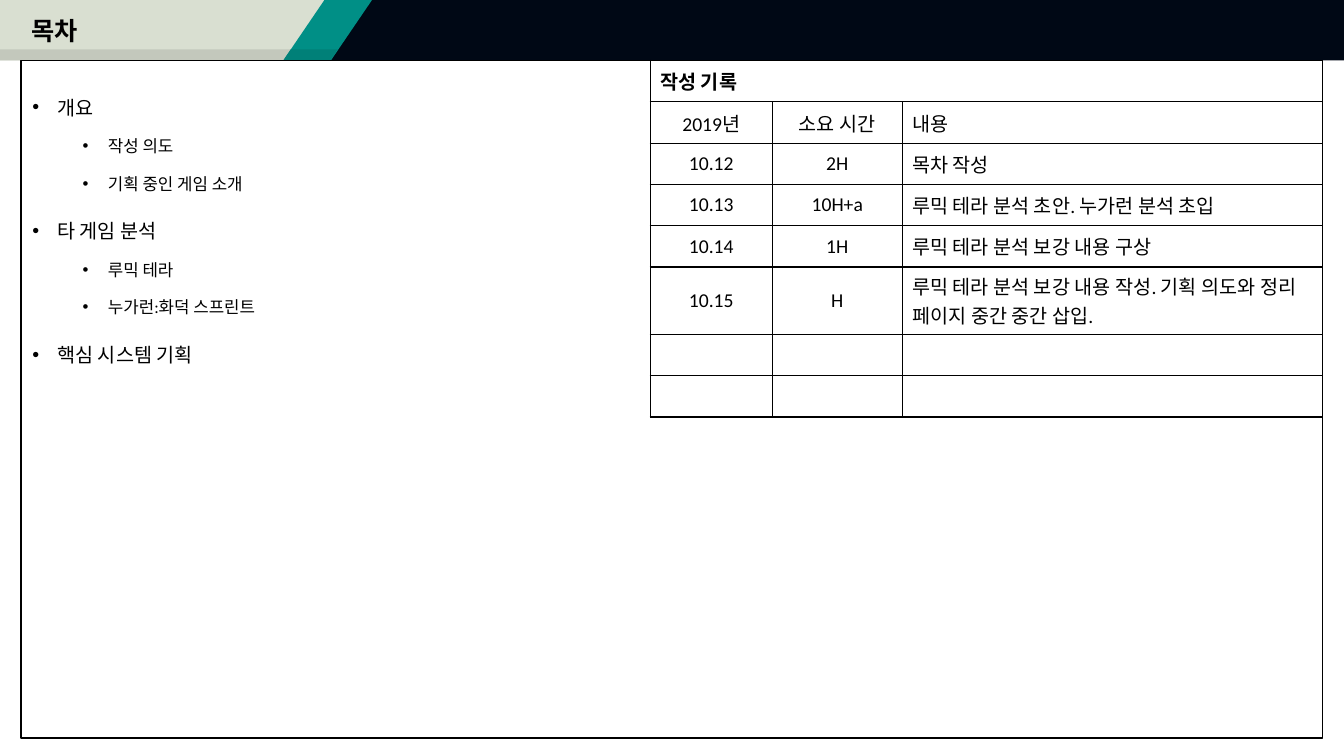
from dataclasses import dataclass

from lxml import etree
from pptx import Presentation
from pptx.dml.color import RGBColor
from pptx.enum.shapes import MSO_SHAPE as Preset
from pptx.enum.text import MSO_ANCHOR as Anchor, MSO_AUTO_SIZE as AutoSize, PP_ALIGN as Align
from pptx.oxml.ns import qn
from pptx.util import Inches, Pt


@dataclass(frozen=True)
class Theme:
    font: str = "Calibri"
    black: str = "000000"
    white: str = "FFFFFF"
    sage: str = "D9DFD1"
    sage_dark: str = "C3C8BC"
    navy: str = "000815"
    teal: str = "008F86"
    teal_dark: str = "008078"
    title_size: int = 18
    text_size: int = 14
    sub_size: int = 12


theme = Theme()


def add_run(paragraph, text, size, bold=False):
    run = paragraph.add_run()
    run.text = text
    run.font.name = theme.font
    run.font.size = Pt(size)
    run.font.bold = bold
    run.font.color.rgb = RGBColor.from_string(theme.black)


def add_border(cell, side):
    line = etree.SubElement(cell._tc.get_or_add_tcPr(), qn(f"a:{side}"), w=str(Pt(1)))
    fill = etree.SubElement(line, qn("a:solidFill"))
    etree.SubElement(fill, qn("a:srgbClr"), val=theme.black)


prs = Presentation()
prs.slide_width, prs.slide_height = Inches(13.33), Inches(7.5)
slide = prs.slides.add_slide(prs.slide_layouts[1])

# Header band and page frame
backdrop = [
    (Preset.RECTANGLE, 0, 0, 3.23, 0.6, theme.sage),
    (Preset.RECTANGLE, 0, 0.49, 3.23, 0.11, theme.sage_dark),
    (Preset.RECTANGLE, 3.23, 0, 10.1, 0.6, theme.navy),
    (Preset.PARALLELOGRAM, 2.81, 0, 0.88, 0.6, theme.teal),
    (Preset.PARALLELOGRAM, 2.81, 0.49, 0.54, 0.11, theme.teal_dark),
    (Preset.RECTANGLE, 0.21, 0.6, 12.91, 6.72, theme.white),
]
for preset, left, top, width, height, color in backdrop:
    panel = slide.shapes.add_shape(preset, Inches(left), Inches(top), Inches(width), Inches(height))
    panel.shadow.inherit = False
    panel.fill.solid()
    panel.fill.fore_color.rgb = RGBColor.from_string(color)
    if preset == Preset.PARALLELOGRAM:
        panel.adjustments[0] = 0.68
    if color == theme.white:
        panel.line.color.rgb = RGBColor.from_string(theme.black)
        panel.line.width = Pt(1)
    else:
        panel.line.fill.background()

# Title and contents placeholders, brought in front of the backdrop
title, contents = slide.shapes.title, slide.placeholders[1]
for holder, box, anchor in [
    (contents, (0.22, 0.78, 12.9, 6.51), Anchor.TOP),
    (title, (0.21, 0, 3.04, 0.6), Anchor.MIDDLE),
]:
    holder.left, holder.top, holder.width, holder.height = map(Inches, box)
    holder.text_frame.auto_size = AutoSize.NONE
    holder.text_frame.word_wrap = True
    holder.text_frame.vertical_anchor = anchor
    holder.element.getparent().append(holder.element)

heading = title.text_frame.paragraphs[0]
heading.alignment = Align.LEFT
add_run(heading, "목차", theme.title_size, bold=True)

# Contents list
topics = [
    (0, "개요"),
    (1, "작성 의도"),
    (1, "기획 중인 게임 소개"),
    (0, "타 게임 분석"),
    (1, "루믹 테라"),
    (1, "누가런:화덕 스프린트"),
    (0, "핵심 시스템 기획"),
]
for index, (level, topic) in enumerate(topics):
    frame = contents.text_frame
    entry = frame.add_paragraph() if index else frame.paragraphs[0]
    entry.level = level
    entry.line_spacing = 1.5
    entry.space_before = Pt((10, 5)[level] if index else 0)
    props = entry._p.get_or_add_pPr()
    props.set("marL", str(Inches((0.25, 0.75)[level])))
    props.set("indent", str(Inches(-0.25)))
    etree.SubElement(props, qn("a:buFont"), typeface="Arial")
    etree.SubElement(props, qn("a:buChar"), char="•")
    add_run(entry, topic, (theme.text_size, theme.sub_size)[level])

# Writing log table
log_rows = [
    ("작성 기록", "", ""),
    ("2019년", "소요 시간", "내용"),
    ("10.12", "2H", "목차 작성"),
    ("10.13", "10H+a", "루믹 테라 분석 초안. 누가런 분석 초입"),
    ("10.14", "1H", "루믹 테라 분석 보강 내용 구상"),
    ("10.15", "H", "루믹 테라 분석 보강 내용 작성. 기획 의도와 정리 페이지 중간 중간 삽입."),
    ("", "", ""),
    ("", "", ""),
]
row_height = 0.41
log = slide.shapes.add_table(
    len(log_rows), 3, Inches(6.45), Inches(0.6), Inches(6.67), Inches(row_height * len(log_rows))
).table
log.first_row = log.horz_banding = False
for column, width in zip(log.columns, (1.21, 1.29, 4.17)):
    column.width = Inches(width)
log.cell(0, 0).merge(log.cell(0, 2))

for r, texts in enumerate(log_rows):
    log.rows[r].height = Inches(row_height)
    for c, text in enumerate(texts):
        cell = log.cell(r, c)
        cell.vertical_anchor = Anchor.MIDDLE
        for side in ("lnL", "lnR", "lnT", "lnB"):
            add_border(cell, side)
        cell.fill.solid()
        cell.fill.fore_color.rgb = RGBColor.from_string(theme.white)
        if text:
            line = cell.text_frame.paragraphs[0]
            line.alignment = Align.CENTER if r and c < 2 else Align.LEFT
            add_run(line, text, theme.text_size, bold=r == 0)

prs.save("out.pptx")
